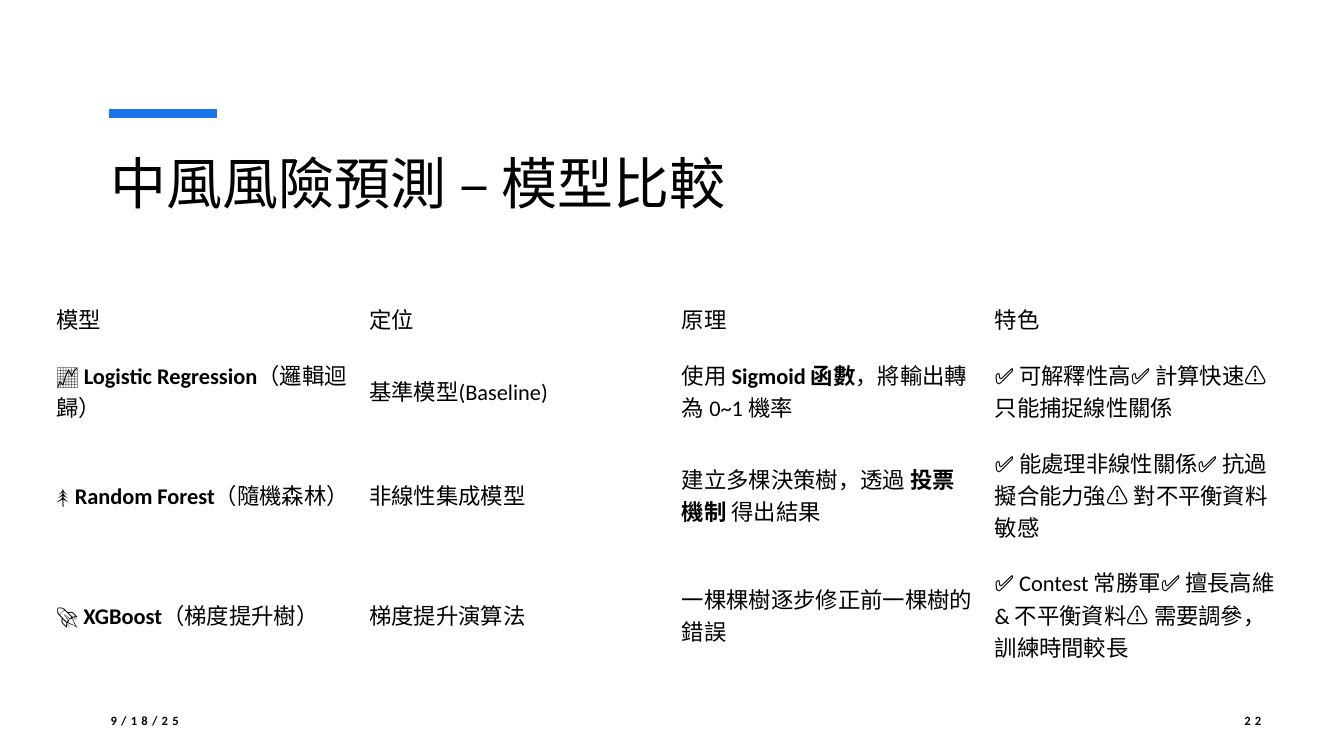
import pptx
import pptx.util
import pptx.dml.color
import pptx.enum.shapes
import pptx.enum.text
from dataclasses import dataclass
from lxml import etree

Pt = pptx.util.Pt
ANCHOR = pptx.enum.text.MSO_ANCHOR
ALIGN = pptx.enum.text.PP_ALIGN


@dataclass(frozen=True)
class Theme:
    font: str = "Calibri"
    ink: str = "000000"
    accent: str = "1973EB"
    title: int = 40
    body: int = 16
    footer: int = 9


class SlideBuilder:
    def __init__(self, prs, theme):
        self.theme = theme
        self.s = prs.slides.add_slide(prs.slide_layouts[5])

    def run(self, p, text, size, bold=False, tracking=0):
        r = p.add_run()
        r.text = text
        r.font.name = self.theme.font
        r.font.size = Pt(size)
        r.font.bold = bold
        r.font.color.rgb = pptx.dml.color.RGBColor.from_string(self.theme.ink)
        if tracking:
            r._r.get_or_add_rPr().set("spc", str(tracking * 100))

    def accent_line(self, x1, x2, y, weight):
        line = self.s.shapes.add_connector(
            pptx.enum.shapes.MSO_CONNECTOR.STRAIGHT, Pt(x1), Pt(y), Pt(x2), Pt(y))
        line.line.color.rgb = pptx.dml.color.RGBColor.from_string(self.theme.accent)
        line.line.width = Pt(weight)
        etree.SubElement(line._element.spPr, pptx.oxml.ns.qn("a:effectLst"))

    def title(self, text, left, top, width, height):
        sp = self.s.shapes.title
        sp.left, sp.top, sp.width, sp.height = map(Pt, (left, top, width, height))
        tf = sp.text_frame
        tf.vertical_anchor = ANCHOR.TOP
        tf.word_wrap = True
        p = tf.paragraphs[0]
        p.alignment = ALIGN.LEFT
        p.line_spacing = 0.9
        self.run(p, text, self.theme.title)

    def footer(self, text, left, width, align):
        sp = self.s.shapes.add_textbox(Pt(left), Pt(500.4), Pt(width), Pt(28.8))
        tf = sp.text_frame
        tf.word_wrap = True
        tf.vertical_anchor = ANCHOR.MIDDLE
        p = tf.paragraphs[0]
        p.alignment = align
        self.run(p, text, self.theme.footer, bold=True, tracking=3)

    def table(self, rows, left, top, width, heights):
        """Each cell is a list of text pieces; every second piece is bold."""
        columns = len(rows[0])
        frame = self.s.shapes.add_table(
            len(rows), columns, Pt(left), Pt(top), Pt(width), Pt(sum(heights)))
        table = frame.table
        table.first_row = table.horz_banding = False
        for column in table.columns:
            column.width = Pt(width / columns)
        for i, (row, height) in enumerate(zip(rows, heights)):
            table.rows[i].height = Pt(height)
            for j, pieces in enumerate(row):
                cell = table.cell(i, j)
                cell.fill.background()
                cell.vertical_anchor = ANCHOR.MIDDLE
                p = cell.text_frame.paragraphs[0]
                for k, piece in enumerate(pieces):
                    self.run(p, piece, self.theme.body, bold=k % 2 == 1)


MODELS = [
    [["模型"], ["定位"], ["原理"], ["特色"]],
    [["📈 ", "Logistic Regression", "（邏輯迴歸）"],
     ["基準模型(Baseline)"],
     ["使用 ", "Sigmoid 函數", "，將輸出轉為 0~1 機率"],
     ["✅ 可解釋性高✅ 計算快速⚠️ 只能捕捉線性關係"]],
    [["🌲 ", "Random Forest", "（隨機森林）"],
     ["非線性集成模型"],
     ["建立多棵決策樹，透過 ", "投票機制", " 得出結果"],
     ["✅ 能處理非線性關係✅ 抗過擬合能力強⚠️ 對不平衡資料敏感"]],
    [["🚀 ", "XGBoost", "（梯度提升樹）"],
     ["梯度提升演算法"],
     ["一棵棵樹逐步修正前一棵樹的錯誤"],
     ["✅ Contest 常勝軍✅ 擅長高維 & 不平衡資料⚠️ 需要調參，訓練時間較長"]],
]


def main():
    prs = pptx.Presentation()
    prs.slide_width, prs.slide_height = Pt(960), Pt(540)
    slide = SlideBuilder(prs, Theme())

    # Heading
    slide.accent_line(78, 155, 81, 6)
    slide.title("中風風險預測 – 模型比較", 72, 108, 816, 93.6)

    # Model comparison
    slide.table(MODELS, 33.1, 212.4, 893.6, [29, 72.7, 72.7, 94.3])

    # Date and page number
    slide.footer("9/18/25", 72, 216, ALIGN.LEFT)
    slide.footer("22", 851, 57, ALIGN.RIGHT)

    prs.save("out.pptx")


if __name__ == "__main__":
    main()
